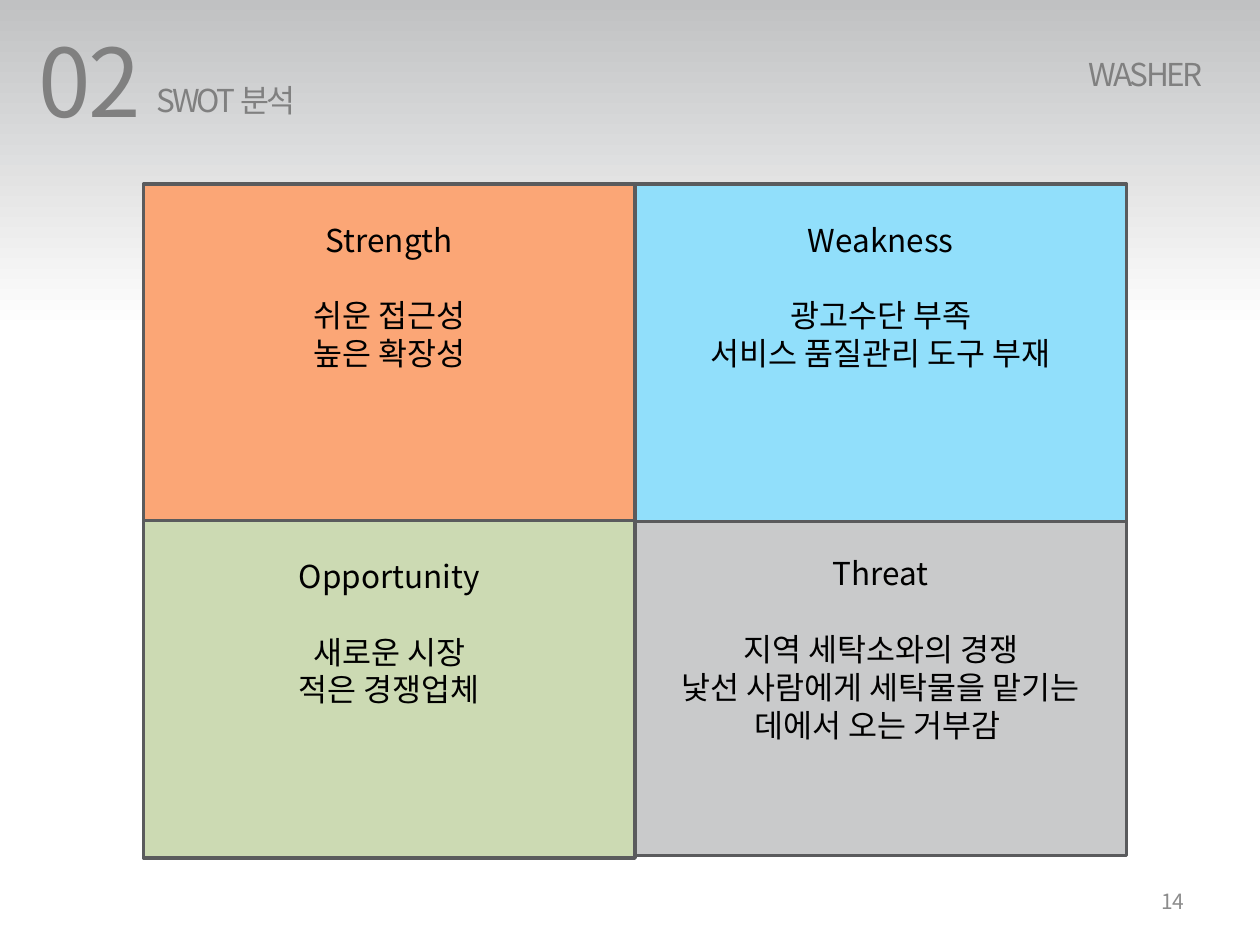
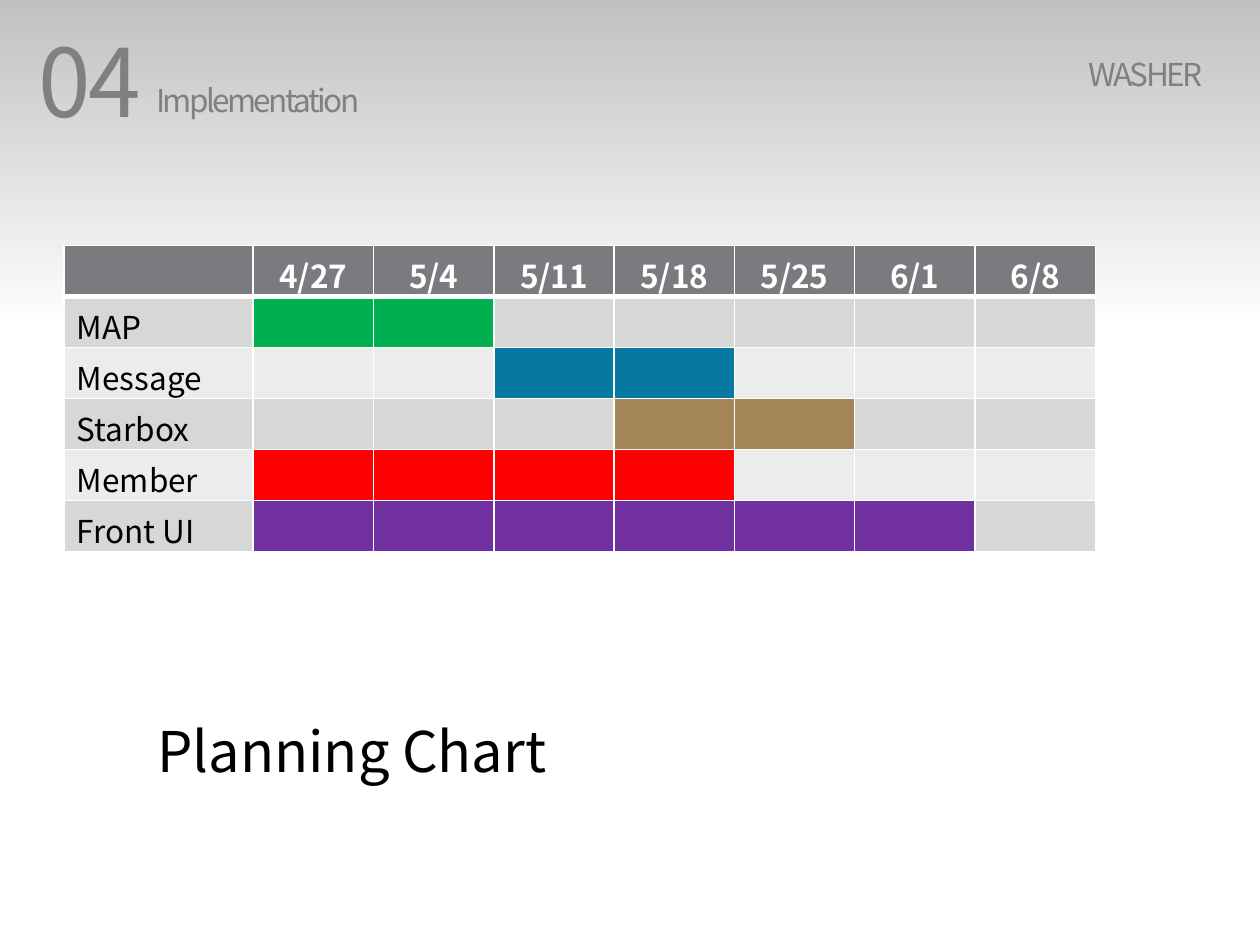
from dataclasses import dataclass

from lxml import etree
from pptx import Presentation
from pptx.dml.color import RGBColor
from pptx.enum.shapes import MSO_SHAPE
from pptx.enum.text import MSO_ANCHOR, PP_ALIGN
from pptx.oxml.ns import qn
from pptx.util import Inches, Pt

RECTANGLE = MSO_SHAPE.RECTANGLE
TOP, MIDDLE = MSO_ANCHOR.TOP, MSO_ANCHOR.MIDDLE
LEFT, CENTER, RIGHT = PP_ALIGN.LEFT, PP_ALIGN.CENTER, PP_ALIGN.RIGHT


@dataclass(frozen=True)
class Theme:
    font: str = "Noto Sans CJK KR"
    # Colours
    band: str = "C0C1C2"
    white: str = "FFFFFF"
    black: str = "000000"
    title: str = "808080"
    page: str = "8C8C8C"
    outline: str = "5A5B5D"
    strength: str = "FBA676"
    weakness: str = "91DFFB"
    opportunity: str = "CCDAB3"
    threat: str = "C9CACB"
    header: str = "797B7E"
    rows: tuple = ("D7D7D8", "ECECEC")
    # Type sizes
    number_size: int = 54
    caption_size: int = 32
    body_size: int = 18
    page_size: int = 12


theme = Theme()


def add_run(paragraph, text, size, color, bold=False, spacing=0):
    run = paragraph.add_run()
    run.text = text
    run.font.name = theme.font
    run.font.size = Pt(size)
    run.font.bold = bold
    run.font.color.rgb = RGBColor.from_string(color)
    properties = run.font._element
    etree.SubElement(properties, qn("a:ea"), typeface=theme.font)
    if spacing:
        properties.set("spc", str(int(spacing * 100)))


def add_label(slide, box, text, size, color, spacing=0, align=LEFT, anchor=TOP):
    frame = slide.shapes.add_textbox(*(Inches(value) for value in box)).text_frame
    frame.word_wrap = True
    frame.vertical_anchor = anchor
    frame.paragraphs[0].alignment = align
    add_run(frame.paragraphs[0], text, size, color, spacing=spacing)


presentation = Presentation()
presentation.slide_width = Inches(10)
presentation.slide_height = Inches(7.5)

# Shared background: grey fading to white from the top
background = presentation.slide_master.background.fill
background.gradient()
background.gradient_angle = 270
for stop, (position, color) in zip(background.gradient_stops, ((0, theme.band), (0.35, theme.white))):
    stop.position = position
    stop.color.rgb = RGBColor.from_string(color)

# Shared header: section number, section title, project name
slides = []
for number, title in (("02", "SWOT 분석"), ("04", "Implementation")):
    slide = presentation.slides.add_slide(presentation.slide_layouts[6])
    for box, text, size in (
        ((0.21, 0.13, 2.83, 1.01), number, theme.number_size),
        ((1.14, 0.59, 4.88, 0.4), title, theme.body_size),
        ((8.54, 0.39, 1.4, 0.4), "WASHER", theme.body_size),
    ):
        add_label(slide, box, text, size, theme.title, spacing=-1.5)
    slides.append(slide)
swot_slide, plan_slide = slides

# SWOT quadrants
QUADRANT_WIDTH, QUADRANT_HEIGHT = 3.9, 2.68
quadrants = (
    (1.14, 1.46, theme.strength, "Strength", ("쉬운 접근성", "높은 확장성")),
    (5.04, 4.11, theme.threat, "Threat",
     ("지역 세탁소와의 경쟁", "낯선 사람에게 세탁물을 맡기는 데에서 오는 거부감 ")),
    (1.14, 4.13, theme.opportunity, "Opportunity", ("새로운 시장", "적은 경쟁업체")),
    (5.04, 1.46, theme.weakness, "Weakness", ("광고수단 부족", "서비스 품질관리 도구 부재")),
)
for left, top, color, heading, points in quadrants:
    shape = swot_slide.shapes.add_shape(
        RECTANGLE, Inches(left), Inches(top), Inches(QUADRANT_WIDTH), Inches(QUADRANT_HEIGHT))
    shape.shadow.inherit = False
    shape.fill.solid()
    shape.fill.fore_color.rgb = RGBColor.from_string(color)
    shape.line.color.rgb = RGBColor.from_string(theme.outline)
    shape.line.width = Pt(2)
    frame = shape.text_frame
    frame.word_wrap = True
    frame.vertical_anchor = TOP
    frame.margin_top = Inches(0.29)
    for index, text in enumerate((heading, *points)):
        paragraph = frame.add_paragraph() if index else frame.paragraphs[0]
        paragraph.alignment = CENTER
        paragraph.space_after = Pt(0 if index else 21.6)
        add_run(paragraph, text, theme.body_size, theme.black)

# Page number
add_label(swot_slide, (7.17, 6.95, 2.33, 0.4), "14", theme.page_size, theme.page,
          align=RIGHT, anchor=MIDDLE)

# Planning chart caption
add_label(plan_slide, (1.15, 5.64, 4.33, 0.64), "Planning Chart", theme.caption_size, theme.black)

# Planning chart: each task fills the weeks from first to last
weeks = ("4/27", "5/4", "5/11", "5/18", "5/25", "6/1", "6/8")
tasks = (
    ("MAP", 1, 2, "00B050"),
    ("Message", 3, 4, "0679A3"),
    ("Starbox", 4, 5, "A48658"),
    ("Member", 1, 4, "FF0000"),
    ("Front UI", 1, 6, "7030A0"),
)
table = plan_slide.shapes.add_table(
    len(tasks) + 1, len(weeks) + 1, Inches(0.51), Inches(1.95), Inches(8.19), Inches(2.43)).table
for index, column in enumerate(table.columns):
    column.width = Inches(0.955 if index else 1.5)

# Header and task names
for index, week in enumerate(weeks, start=1):
    paragraph = table.cell(0, index).text_frame.paragraphs[0]
    paragraph.alignment = CENTER
    add_run(paragraph, week, theme.body_size, theme.white, bold=True)
for index, task in enumerate(tasks, start=1):
    paragraph = table.cell(index, 0).text_frame.paragraphs[0]
    add_run(paragraph, task[0], theme.body_size, theme.black)

# Cell borders and fills
for row in range(len(tasks) + 1):
    for column in range(len(weeks) + 1):
        cell = table.cell(row, column)
        color = theme.header
        if row:
            name, first, last, bar_color = tasks[row - 1]
            color = bar_color if first <= column <= last else theme.rows[(row - 1) % 2]
        properties = cell._tc.get_or_add_tcPr()
        for side in ("lnL", "lnR", "lnT", "lnB"):
            below_header = (row, side) in ((0, "lnB"), (1, "lnT"))
            border = etree.SubElement(
                properties, qn(f"a:{side}"), w=str(Pt(3 if below_header else 1)))
            line_fill = etree.SubElement(border, qn("a:solidFill"))
            etree.SubElement(line_fill, qn("a:srgbClr"), val=theme.white)
        cell.fill.solid()
        cell.fill.fore_color.rgb = RGBColor.from_string(color)

presentation.save("out.pptx")
